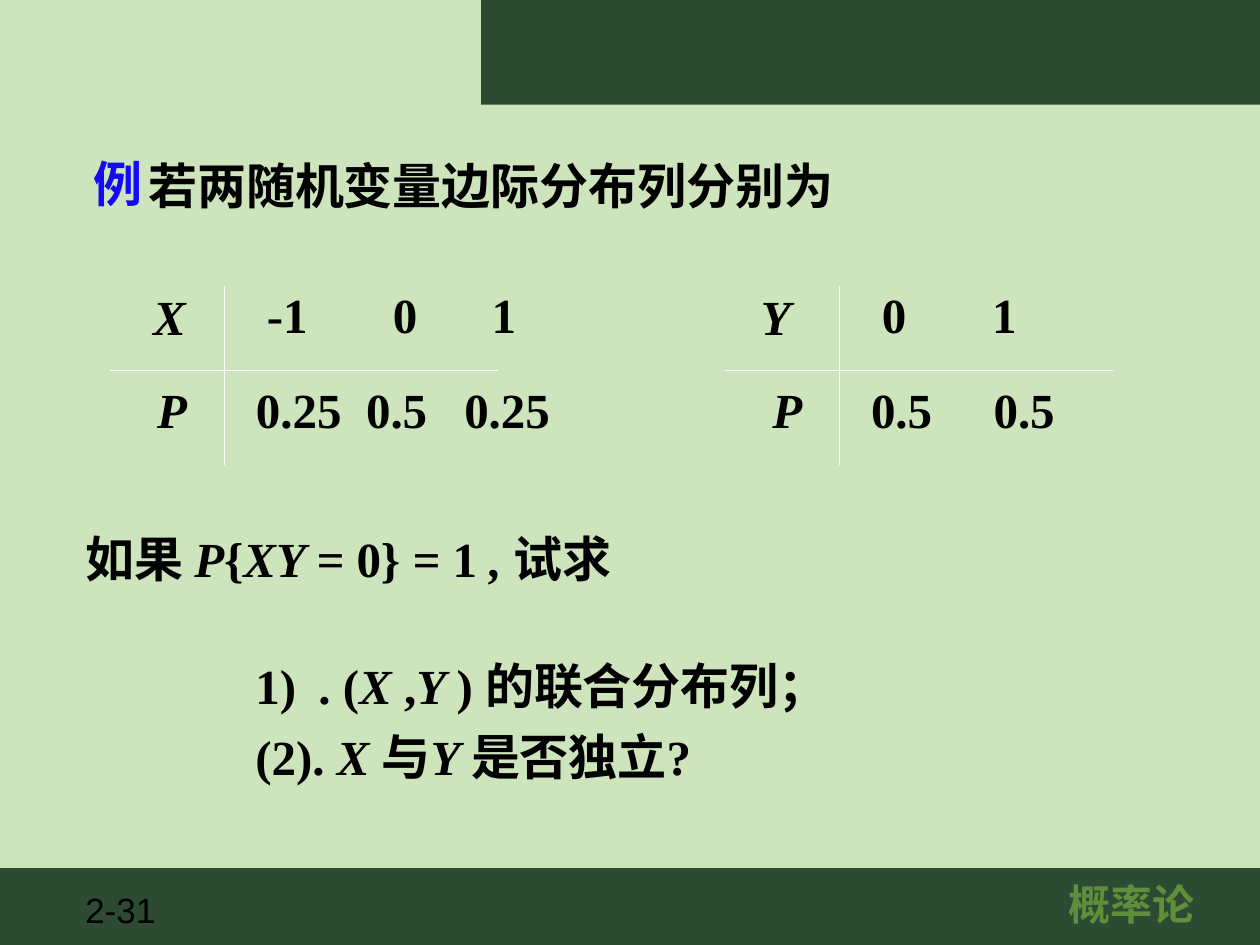
from lxml import etree
from pptx import Presentation, util as u
from pptx.dml.color import RGBColor
from pptx.enum import shapes, text
from pptx.oxml import ns

PALE_GREEN = RGBColor(0xCD, 0xE4, 0xBC)
FOOTER_GREEN = RGBColor(0x2D, 0x4B, 0x33)
HEADER_GREEN = RGBColor(0x2C, 0x4A, 0x32)
LEAF_GREEN = RGBColor(0x5F, 0x8F, 0x3B)
BLUE = RGBColor(0x14, 0x09, 0xF9)
BLACK = RGBColor(0, 0, 0)
WHITE = RGBColor(255, 255, 255)


class SlideBuilder:
    """Draws styled elements on one slide, with lengths in centimetres."""

    serif = "Times New Roman"
    sans = "Arial"
    body_size = 28
    line_height = 1.45

    def __init__(self, slide):
        self.slide = slide

    def background(self, color):
        fill = self.slide.background.fill
        fill.solid()
        fill.fore_color.rgb = color

    def band(self, left, top, width, height, color):
        shape = self.slide.shapes.add_shape(
            shapes.MSO_SHAPE.RECTANGLE, *map(u.Cm, (left, top, width, height)))
        shape.shadow.inherit = False
        shape.fill.solid()
        shape.fill.fore_color.rgb = color
        shape.line.fill.background()

    def line(self, x1, y1, x2, y2):
        connector = self.slide.shapes.add_connector(
            shapes.MSO_CONNECTOR.STRAIGHT, *map(u.Cm, (x1, y1, x2, y2)))
        connector.line.color.rgb = WHITE
        connector.line.width = u.Pt(0.75)
        etree.SubElement(connector._element.spPr, ns.qn("a:effectLst"))

    def box(self, left, top, width, height=line_height):
        shape = self.slide.shapes.add_textbox(*map(u.Cm, (left, top, width, height)))
        shape.text_frame.word_wrap = True
        shape.text_frame.margin_right = 0
        return shape.text_frame

    def runs(self, paragraph, pieces, size=body_size, font=serif, color=BLACK, bold=True):
        """Add pieces that are upright and italic in turn."""
        for index, piece in enumerate(pieces):
            if piece:
                run = paragraph.add_run()
                run.text = piece
                run.font.name = font
                run.font.size = u.Pt(size)
                run.font.bold = bold
                run.font.italic = index % 2 == 1
                run.font.color.rgb = color

    def label(self, left, top, width, pieces, height=line_height, **style):
        paragraph = self.box(left, top, width, height).paragraphs[0]
        self.runs(paragraph, pieces, **style)
        return paragraph

    def tabbed(self, left, top, width, values, stops):
        paragraph = self.label(left, top, width, ["\t".join(values)])
        tabs = etree.SubElement(paragraph._p.get_or_add_pPr(), ns.qn("a:tabLst"))
        for stop in stops:
            etree.SubElement(tabs, ns.qn("a:tab"), pos=str(u.Cm(stop)), algn="l")

    def distribution(self, left, name, name_left, values, value_stops, chances, chance_stops):
        self.line(left, 7.47, left + 7.82, 7.47)
        self.line(left + 2.31, 5.77, left + 2.31, 9.37)
        self.label(left + name_left, 5.66, 1.3, ["", name])
        self.label(left + 0.71, 7.52, 1.3, ["", "P"])
        self.tabbed(left + 2.92, 5.61, 5.5, values, value_stops)
        self.tabbed(left + 2.7, 7.52, 6.43, chances, chance_stops)

    def questions(self, left, top, width, height, items):
        frame = self.box(left, top, width, height)
        for index, (pieces, spacing, numbered) in enumerate(items):
            paragraph = frame.add_paragraph() if index else frame.paragraphs[0]
            properties = paragraph._p.get_or_add_pPr()
            properties.set("marL", str(u.Cm(1.27)))
            properties.set("indent", str(-u.Cm(1.27)))
            if numbered:
                etree.SubElement(properties, ns.qn("a:buAutoNum"), type="arabicParenR")
            else:
                etree.SubElement(properties, ns.qn("a:buNone"))
            paragraph.line_spacing = spacing
            self.runs(paragraph, pieces)


def main():
    presentation = Presentation()
    presentation.slide_width = u.Cm(25.4)
    presentation.slide_height = u.Cm(19.05)
    builder = SlideBuilder(presentation.slides.add_slide(presentation.slide_layouts[6]))

    builder.background(PALE_GREEN)
    builder.band(0, 17.5, 25.4, 1.55, FOOTER_GREEN)
    builder.label(1.47, 17.78, 1.98, ["2-31"], height=1.09,
                  size=20, font=builder.sans, bold=False)
    course = builder.label(20.15, 17.58, 5.08, ["概率论"], height=1.27,
                           size=24, font=builder.sans, color=LEAF_GREEN)
    course.alignment = text.PP_ALIGN.CENTER
    builder.band(9.7, 0, 15.7, 2.11, HEADER_GREEN)

    builder.label(2.74, 3.02, 20.6, ["若两随机变量边际分布列分别为"])
    builder.distribution(2.21, "X", 0.63, ["-1", "0", "1"], [2.54, 4.53],
                         ["0.25", "0.5", "0.25"], [2.22, 4.2])
    builder.distribution(14.61, "Y", 0.48, ["0", "1"], [2.22],
                         ["0.5", "0.5"], [2.47])
    builder.label(1.47, 10.52, 11.63,
                  ["如果 ", "P", "{", "XY = ", "0} ", "= ", "1", " , ", "试求"])
    builder.label(1.63, 2.97, 1.5, ["例"], color=BLUE)
    builder.questions(4.9, 12.5, 17.2, 3.45, [
        ([". (", "X ", ",", "Y ", ") 的联合分布列；"], 1.5, True),
        (["(2). ", "X ", "与", "Y ", "是否独立?"], 1.2, False),
    ])
    presentation.save("out.pptx")


if __name__ == "__main__":
    main()
